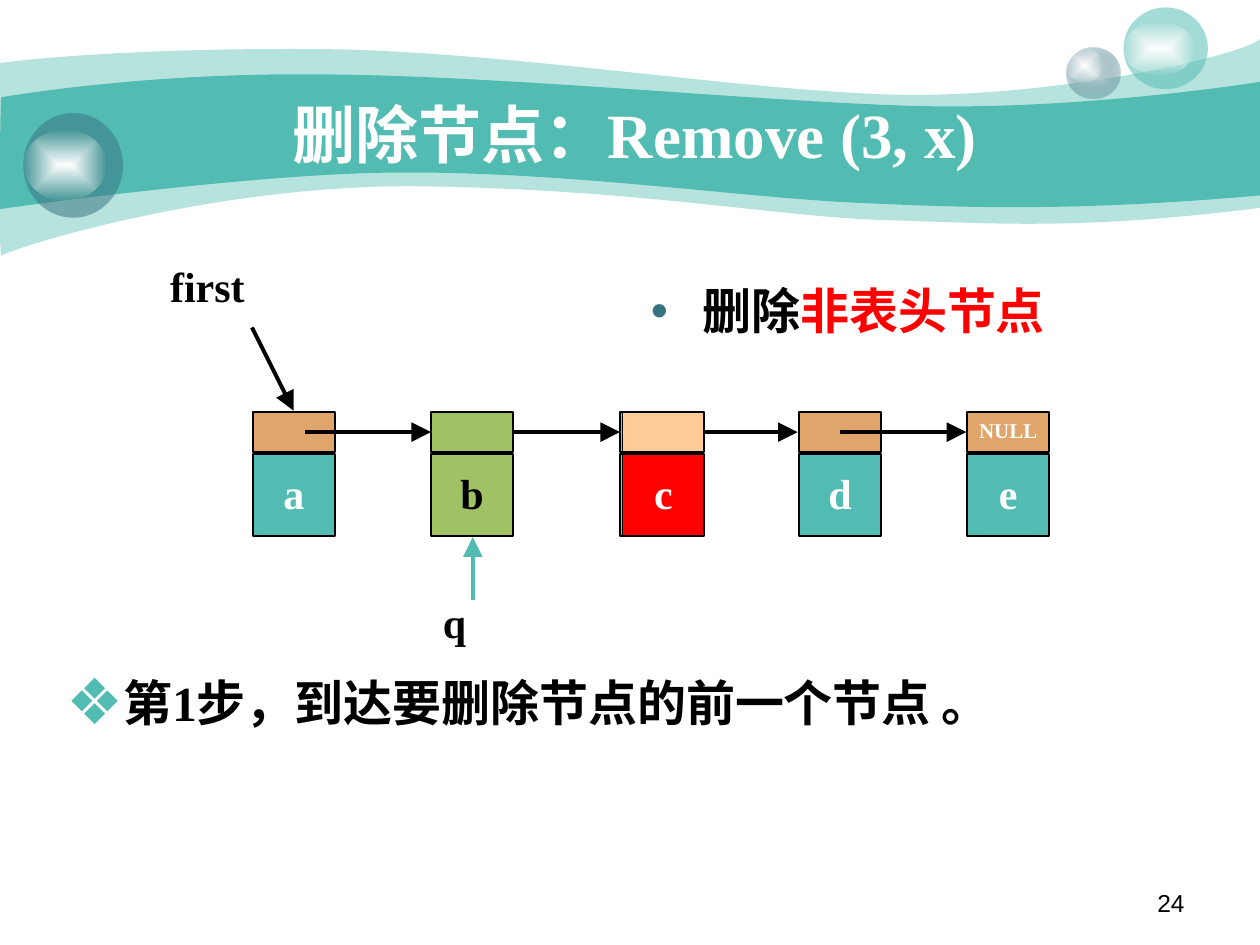
from lxml import etree
from pptx import Presentation
from pptx.dml.color import RGBColor
from pptx.enum.shapes import MSO_CONNECTOR, MSO_SHAPE
from pptx.enum.text import MSO_ANCHOR, MSO_AUTO_SIZE, PP_ALIGN
from pptx.oxml import parse_xml
from pptx.oxml.ns import nsdecls, qn
from pptx.util import Cm, Pt

RECTANGLE, OVAL = MSO_SHAPE.RECTANGLE, MSO_SHAPE.OVAL
STRAIGHT = MSO_CONNECTOR.STRAIGHT
LEFT, CENTER, RIGHT = PP_ALIGN.LEFT, PP_ALIGN.CENTER, PP_ALIGN.RIGHT
MIDDLE = MSO_ANCHOR.MIDDLE
NO_AUTOSIZE = MSO_AUTO_SIZE.NONE

BLACK = RGBColor(0x00, 0x00, 0x00)
WHITE = RGBColor(0xFF, 0xFF, 0xFF)
TEAL = RGBColor(0x52, 0xBC, 0xB2)
DARK_TEAL = RGBColor(0x37, 0x73, 0x7F)
PALE_TEAL = RGBColor(0xCC, 0xDB, 0xDE)
TAN = RGBColor(0xE0, 0xA5, 0x6A)
GREEN = RGBColor(0xA0, 0xC2, 0x64)
ORANGE = RGBColor(0xFF, 0x99, 0x33)
PEACH = RGBColor(0xFF, 0xCC, 0x99)
RED = RGBColor(0xFF, 0x00, 0x00)

SERIF = "Times New Roman"

# Linked list geometry in centimetres
CELL_WIDTH = 1.65
POINTER_TOP, POINTER_HEIGHT = 8.3, 0.82
DATA_TOP, DATA_HEIGHT = 9.15, 1.65
ARROW_Y = 8.71

# Wave edges: a start point, then three Bezier points per curve
LIGHT_TOP = [(0, 1.27), (0.61, 1.19), (2.72, 0.97), (6.27, 0.99),
             (9.8, 0.99), (14.6, 1.78), (17.75, 1.9),
             (20.88, 2.03), (24.89, 1.19), (25.4, 0.79)]
LIGHT_BOTTOM = [(25.4, 4.19), (21.79, 4.65), (19.99, 4.5), (17.91, 4.44),
                (15.8, 4.39), (13.08, 3.84), (8.71, 3.76),
                (4.37, 3.66), (0.1, 5.05), (0.03, 5.16),
                (-0.03, 5.28), (0, 1.9), (0, 1.27)]
DARK_TOP = [(0.03, 1.96), (0.05, 1.96), (2.79, 1.47), (6.3, 1.5),
            (9.8, 1.5), (15.11, 2.03), (18.24, 2.13),
            (21.36, 2.24), (24.79, 1.75), (25.4, 1.65)]
DARK_BOTTOM = [(25.4, 3.94), (21.67, 4.27), (19.43, 4.19), (17.32, 4.09),
               (15.21, 4.01), (11.35, 3.45), (8.05, 3.48),
               (5.16, 3.48), (-0.05, 4.22), (-0.03, 4.22),
               (0, 4.22), (0, 1.96), (0.03, 1.96)]


def set_fill(shape, color, alpha=100):
    shape.fill.solid()
    shape.fill.fore_color.rgb = color
    if alpha < 100:
        element = shape.element.spPr.find(".//" + qn("a:srgbClr"))
        etree.SubElement(element, qn("a:alpha")).set("val", str(alpha * 1000))


def set_glow(shape, inner, outer, outer_alpha):
    """Fill from the centre outwards, fading to the outer opacity."""
    shape.fill.background()
    properties = shape.element.spPr
    gradient = parse_xml(
        f'<a:gradFill {nsdecls("a")} rotWithShape="1"><a:gsLst>'
        f'<a:gs pos="0"><a:srgbClr val="{inner}"/></a:gs>'
        f'<a:gs pos="100000"><a:srgbClr val="{outer}">'
        f'<a:alpha val="{outer_alpha * 1000}"/></a:srgbClr></a:gs></a:gsLst>'
        '<a:path path="rect"><a:fillToRect l="50000" t="50000" r="50000" b="50000"/>'
        '</a:path></a:gradFill>')
    properties.replace(properties.find(qn("a:noFill")), gradient)


def bend_lines(lines):
    """Turn each three consecutive line segments into one Bezier curve."""
    for start in range(0, len(lines), 3):
        curve = etree.Element(qn("a:cubicBezTo"))
        lines[start].addprevious(curve)
        for line in lines[start:start + 3]:
            curve.append(line[0])
            line.getparent().remove(line)


def add_wave(slide, top, bottom, alpha=100):
    outline = [(Cm(x), Cm(y)) for x, y in top + bottom]
    builder = slide.shapes.build_freeform(*outline[0])
    builder.add_line_segments(outline[1:], close=True)
    wave = builder.convert_to_shape()
    lines = list(wave.element.spPr.iter(qn("a:lnTo")))
    # The segment between the two edges stays straight
    joint = len(top) - 1
    bend_lines(lines[:joint])
    bend_lines(lines[joint + 1:joint + len(bottom)])
    wave.shadow.inherit = False
    wave.line.fill.background()
    set_fill(wave, TEAL, alpha)


def add_ellipse(slide, box):
    ellipse = slide.shapes.add_shape(OVAL, *map(Cm, box))
    ellipse.shadow.inherit = False
    ellipse.line.fill.background()
    return ellipse


def add_highlight(slide, box):
    set_glow(add_ellipse(slide, box), WHITE, WHITE, 0)


def format_text(paragraph, size, color, align=LEFT, bold=True, font_name=SERIF):
    paragraph.alignment = align
    font = paragraph.font
    font.name, font.size, font.bold = font_name, Pt(size), bold
    font.color.rgb = color


def add_bullet(paragraph, character, color, indent, percent=100):
    properties = paragraph._p.get_or_add_pPr()
    properties.set("marL", str(Cm(indent)))
    properties.set("indent", str(-Cm(indent)))
    bullet_color = etree.SubElement(properties, qn("a:buClr"))
    etree.SubElement(bullet_color, qn("a:srgbClr")).set("val", str(color))
    etree.SubElement(properties, qn("a:buSzPct")).set("val", str(percent * 1000))
    etree.SubElement(properties, qn("a:buFont")).set("typeface", "Arial")
    etree.SubElement(properties, qn("a:buChar")).set("char", character)


def add_text(slide, box, text):
    frame = slide.shapes.add_textbox(*map(Cm, box)).text_frame
    frame.word_wrap = True
    paragraph = frame.paragraphs[0]
    paragraph.add_run().text = text
    return paragraph


def add_cell(slide, box, fill, text="", size=24, color=WHITE):
    cell = slide.shapes.add_shape(RECTANGLE, *map(Cm, box))
    cell.shadow.inherit = False
    set_fill(cell, fill)
    cell.line.color.rgb = BLACK
    cell.line.width = Pt(1)
    if text:
        frame = cell.text_frame
        frame.margin_left = frame.margin_right = frame.margin_top = 0
        frame.margin_bottom = Cm(0.08)
        frame.vertical_anchor = MIDDLE
        frame.text = text
        format_text(frame.paragraphs[0], size, color, CENTER)


def add_node(slide, left, label, data_fill, pointer_fill=TAN, color=WHITE, pointer_text=""):
    add_cell(slide, (left, DATA_TOP, CELL_WIDTH, DATA_HEIGHT), data_fill, label, 24, color)
    add_cell(slide, (left, POINTER_TOP, CELL_WIDTH, POINTER_HEIGHT), pointer_fill,
             pointer_text, 12)


def add_arrow(slide, start, end, color=BLACK):
    arrow = slide.shapes.add_connector(STRAIGHT, *map(Cm, start + end))
    arrow.line.color.rgb = color
    arrow.line.width = Pt(2.25)
    head = etree.SubElement(arrow.line._get_or_add_ln(), qn("a:tailEnd"))
    for name, value in (("type", "triangle"), ("w", "lg"), ("len", "lg")):
        head.set(name, value)
    etree.SubElement(arrow.element.spPr, qn("a:effectLst"))


def add_banner(slide):
    add_wave(slide, LIGHT_TOP, LIGHT_BOTTOM, 41)
    add_wave(slide, DARK_TOP, DARK_BOTTOM)
    set_glow(add_ellipse(slide, (21.51, 0.97, 1.07, 1.02)), PALE_TEAL, DARK_TEAL, 31)
    add_highlight(slide, (21.51, 0.97, 0.71, 0.69))
    set_fill(add_ellipse(slide, (22.65, 0.15, 1.7, 1.65)), TEAL, 53)
    add_highlight(slide, (22.65, 0.43, 1.42, 1.09))
    set_fill(add_ellipse(slide, (0.47, 2.28, 2.01, 2.11)), DARK_TEAL, 53)
    add_highlight(slide, (0.47, 2.62, 1.68, 1.42))


def set_title(slide, text):
    title = slide.shapes.title
    title.left, title.top, title.width, title.height = map(Cm, (2.54, 1.9, 20.52, 1.57))
    frame = title.text_frame
    frame.text = text
    frame.auto_size = NO_AUTOSIZE
    frame.vertical_anchor = MIDDLE
    format_text(frame.paragraphs[0], 36, WHITE, CENTER)
    # Bring the title in front of the banner
    title.element.getparent().append(title.element)


def add_linked_list(slide):
    add_node(slide, 5.1, "a", TEAL)
    add_node(slide, 12.5, "", ORANGE)
    add_node(slide, 16.11, "d", TEAL)
    add_node(slide, 19.5, "e", TEAL, pointer_text="NULL")
    for start, end in ((6.15, 8.69), (9.53, 12.5), (13.54, 16.08), (16.94, 19.48)):
        add_arrow(slide, (start, ARROW_Y), (end, ARROW_Y))
    # Highlighted nodes cover the arrow starts
    add_node(slide, 12.55, "c", RED, PEACH)
    add_node(slide, 8.69, "b", GREEN, GREEN, BLACK)
    # Named pointers
    for text, box in (("first", (3.18, 5.12, 4.65, 1.27)), ("q", (8.68, 11.9, 3, 1.27))):
        format_text(add_text(slide, box, text), 24, BLACK)
    add_arrow(slide, (5.08, 6.6), (5.92, 8.28))
    add_arrow(slide, (9.53, 12.09), (9.53, 10.83), TEAL)


def main():
    presentation = Presentation()
    presentation.slide_width, presentation.slide_height = Cm(25.4), Cm(19.05)
    slide = presentation.slides.add_slide(presentation.slide_layouts[5])
    add_banner(slide)
    set_title(slide, "删除节点：Remove (3, x)")
    add_linked_list(slide)

    # Case and step
    case = add_text(slide, (12.87, 5.54, 8.65, 1.45), "删除")
    add_bullet(case, "•", DARK_TEAL, 1.04)
    format_text(case, 28, BLACK)
    emphasis = case.add_run()
    emphasis.text = "非表头节点"
    emphasis.font.color.rgb = RED
    step = add_text(slide, (1.09, 13.44, 23.5, 1.7), "第1步，到达要删除节点的前一个节点 。")
    add_bullet(step, "❖", TEAL, 0.97, 130)
    format_text(step, 28, BLACK)

    # Page number
    number = add_text(slide, (18.21, 17.78, 5.92, 0.89), "24")
    format_text(number, 14, BLACK, RIGHT, False, "Arial")
    presentation.save("out.pptx")


if __name__ == "__main__":
    main()
